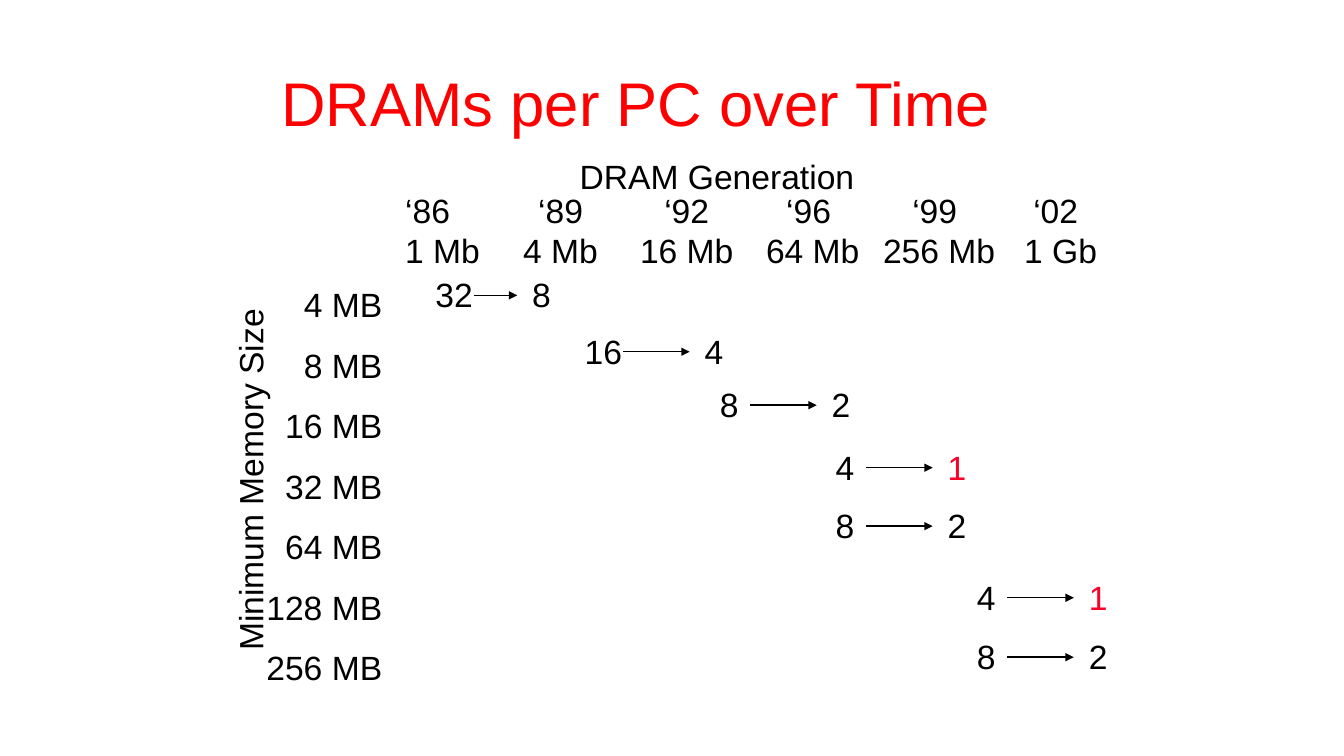
from collections import namedtuple
from dataclasses import dataclass

from lxml import etree
from pptx import Presentation
from pptx import util as u
from pptx.dml.color import RGBColor
from pptx.enum import shapes, text
from pptx.oxml import ns

Box = namedtuple("Box", "left top width height")
Step = namedtuple("Step", "before after arrow_left arrow_top arrow_width")


@dataclass(frozen=True)
class Theme:
    """Hold the colours, font and type sizes."""
    font: str = "Arial"
    title_color: str = "FF0000"
    ink: str = "000000"
    single: str = "FC0128"
    title_size: float = 44
    body_size: float = 24
    line_height: float = 28.8
    row_gap: float = 14.4
    line_width: float = 1


THEME = Theme()
PAGE = Box(0, 0, 13.33, 7.5)
TITLE = Box(2.69, 0.43, 7.83, 1.25)
HEADER = Box(3.92, 1.5, 7.27, 1.24)
MEMORY_AXIS = Box(2.23, 2.77, 1.66, 4.14)
COUNTS = Box(3.92, 2.67, 7.27, 4.08)

GENERATIONS = [
    (["‘86", "‘89", "‘92", "‘96", "‘99", "‘02"], [1.32, 2.57, 3.78, 5.03, 6.23]),
    (["1 Mb", "4 Mb", "16 Mb", "64 Mb", "256 Mb", "1 Gb"], [1.17, 2.33, 3.58, 4.74, 6.14]),
]
MEMORY_SIZES = [f"{2 ** power} MB" for power in range(2, 9)]
STEPS = [
    Step("32", "8", 0.78, 0.26, 0.43),
    Step("16", "4", 2.26, 0.82, 0.66),
    Step("8", "2", 3.52, 1.35, 0.66),
    Step("4", "1", 4.67, 1.97, 0.66),
    Step("8", "2", 4.67, 2.55, 0.66),
    Step("4", "1", 6.07, 3.26, 0.66),
    Step("8", "2", 6.07, 3.85, 0.66),
]
LABEL_HEIGHT = 0.5


def format_span(para, size, color):
    """Give every run of a paragraph the theme font."""
    for span in para.runs:
        span.font.name = THEME.font
        span.font.size = u.Pt(size)
        span.font.color.rgb = RGBColor.from_string(color)


def add_text(page, box, content, color=THEME.ink, wrap=False):
    """Place body text in a box and return the shape."""
    label = page.shapes.add_textbox(*(u.Inches(length) for length in box))
    frame = label.text_frame
    frame.word_wrap = wrap
    frame.text = content
    for para in frame.paragraphs:
        para.line_spacing = u.Pt(THEME.line_height)
        format_span(para, THEME.body_size, color)
    return label


def add_tabs(para, stops):
    """Set left tab stops, in inches, on a paragraph."""
    tabs = etree.SubElement(para._p.get_or_add_pPr(), ns.qn("a:tabLst"))
    for stop in stops:
        etree.SubElement(tabs, ns.qn("a:tab"), pos=str(u.Inches(stop)), algn="l")


def add_arrow(page, left, top, width):
    """Draw a horizontal arrow pointing right."""
    ends = (left, top, left + width, top)
    arrow = page.shapes.add_connector(
        shapes.MSO_CONNECTOR.STRAIGHT, *(u.Inches(end) for end in ends))
    arrow.line.color.rgb = RGBColor.from_string(THEME.ink)
    arrow.line.width = u.Pt(THEME.line_width)
    etree.SubElement(arrow.line._get_or_add_ln(), ns.qn("a:tailEnd"), type="triangle")
    etree.SubElement(arrow._element.spPr, ns.qn("a:effectLst"))


def add_title(page, box):
    """Fill and place the title placeholder."""
    title = page.shapes.title
    title.left, title.top, title.width, title.height = (u.Inches(length) for length in box)
    frame = title.text_frame
    frame.text = "DRAMs per PC over Time"
    frame.vertical_anchor = text.MSO_ANCHOR.MIDDLE
    frame.auto_size = text.MSO_AUTO_SIZE.NONE
    para = frame.paragraphs[0]
    para.alignment = text.PP_ALIGN.LEFT
    para.line_spacing = 0.9
    format_span(para, THEME.title_size, THEME.title_color)


def add_header(page, box):
    """Write the generation heading above its years and capacities."""
    add_text(page, Box(box.left + 1.73, box.top, 2.95, LABEL_HEIGHT), "DRAM Generation")
    lines = "\n".join("\t".join(names) for names, _ in GENERATIONS)
    columns = add_text(page, Box(box.left, box.top + 0.33, box.width, 0.91), lines, wrap=True)
    for para, (_, stops) in zip(columns.text_frame.paragraphs, GENERATIONS):
        add_tabs(para, stops)


def add_memory_axis(page, box):
    """Write the memory sizes and their upright axis name."""
    name_width = 3.63
    name_box = Box(box.left + 0.25 - name_width / 2, box.top + 1.72, name_width, LABEL_HEIGHT)
    add_text(page, name_box, "Minimum Memory Size").rotation = 270
    sizes = add_text(page, Box(box.left + 0.3, box.top, box.width - 0.3, box.height),
                     "\n".join(MEMORY_SIZES))
    for index, para in enumerate(sizes.text_frame.paragraphs):
        para.alignment = text.PP_ALIGN.RIGHT
        if index:
            para.space_before = u.Pt(THEME.row_gap)


def add_counts(page, box):
    """Place each pair of chip counts with the arrow between them."""
    for step in STEPS:
        left, line = box.left + step.arrow_left, box.top + step.arrow_top
        top = line - 0.26
        width, reach = (0.57, 0.48) if len(step.before) > 1 else (0.39, 0.4)
        color = THEME.single if step.after == "1" else THEME.ink
        add_text(page, Box(left - reach, top, width, LABEL_HEIGHT), step.before)
        add_arrow(page, left, line, step.arrow_width)
        add_text(page, Box(left + step.arrow_width + 0.05, top, 0.39, LABEL_HEIGHT),
                 step.after, color)


def main():
    """Build the deck and save it."""
    deck = Presentation()
    deck.slide_width, deck.slide_height = u.Inches(PAGE.width), u.Inches(PAGE.height)
    page = deck.slides.add_slide(deck.slide_layouts[5])
    add_title(page, TITLE)
    add_header(page, HEADER)
    add_memory_axis(page, MEMORY_AXIS)
    add_counts(page, COUNTS)
    deck.save("out.pptx")


if __name__ == "__main__":
    main()
